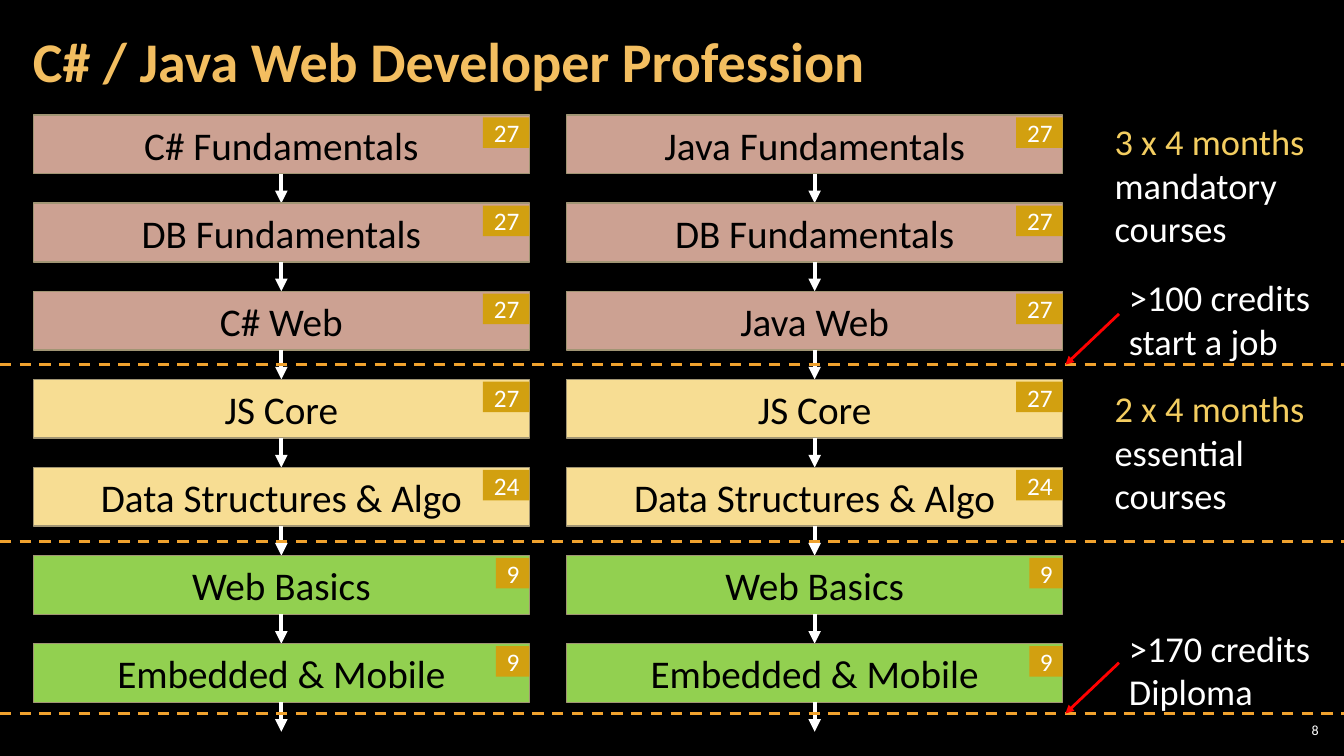
from lxml.etree import SubElement
from pptx import Presentation
from pptx.dml.color import RGBColor
from pptx.enum.dml import MSO_LINE
from pptx.enum.shapes import MSO_CONNECTOR, MSO_SHAPE
from pptx.enum.text import MSO_ANCHOR, PP_ALIGN
from pptx.oxml.ns import qn
from pptx.util import Cm, Pt

TITLE = "C# / Java Web Developer Profession"
PAGE = "8"
TRACKS = [
    (0.84, ["C# Fundamentals", "DB Fundamentals", "C# Web", "JS Core",
            "Data Structures & Algo", "Web Basics", "Embedded & Mobile"]),
    (14.28, ["Java Fundamentals", "DB Fundamentals", "Java Web", "JS Core",
             "Data Structures & Algo", "Web Basics", "Embedded & Mobile"]),
]
STAGES = ["mandatory"] * 3 + ["essential"] * 2 + ["elective"] * 2
CREDITS = [27, 27, 27, 27, 24, 9, 9]
DURATIONS = [
    (2.87, ["3 x 4 months", "mandatory", "courses"]),
    (9.6, ["2 x 4 months", "essential", "courses"]),
]
GOALS = [
    (6.8, 9.19, [">100 credits", "start a job"]),
    (15.64, 17.98, [">170 credits", "Diploma"]),
]
MILESTONES = [9.19, 13.64, 17.98]

COLORS = {
    "background": "000000", "title": "F3BE60", "white": "FFFFFF", "black": "000000",
    "mandatory": "CCA192", "essential": "F7DD93", "elective": "92D050",
    "border": "A19574", "badge": "D2A010", "milestone": "F0A22E",
    "duration": "F3CD60", "pointer": "FF0000",
}
FONT = "Calibri"
SLIDE_WIDTH, SLIDE_HEIGHT = 33.87, 19.05
COURSE_WIDTH, COURSE_HEIGHT = 12.5, 1.48
FIRST_TOP, ROW_PITCH = 2.9, 2.22
BADGE_HEIGHT = 0.77


def color(name):
    return RGBColor.from_string(COLORS[name])


def write(shape, lines, size, colors, bold=False, align=PP_ALIGN.LEFT,
          anchor=MSO_ANCHOR.TOP, margins=(0.25, 0.13), wrap=True,
          spacing=None, around=None):
    frame = shape.text_frame
    frame.word_wrap = wrap
    frame.vertical_anchor = anchor
    frame.margin_left = frame.margin_right = Cm(margins[0])
    frame.margin_top = frame.margin_bottom = Cm(margins[1])
    for index, line in enumerate(lines):
        paragraph = frame.paragraphs[0] if index == 0 else frame.add_paragraph()
        paragraph.alignment = align
        if spacing:
            paragraph.line_spacing = spacing
        if around:
            paragraph.space_before = paragraph.space_after = Pt(around)
        run = paragraph.add_run()
        run.text = line
        run.font.name = FONT
        run.font.size = Pt(size)
        run.font.bold = bold
        run.font.color.rgb = color(colors[min(index, len(colors) - 1)])


def text_box(left, top, width, height, lines, **format):
    box = slide.shapes.add_textbox(Cm(left), Cm(top), Cm(width), Cm(height))
    write(box, lines, **format)


def rectangle(left, top, width, height, fill, border=None):
    shape = slide.shapes.add_shape(
        MSO_SHAPE.RECTANGLE, Cm(left), Cm(top), Cm(width), Cm(height))
    shape.shadow.inherit = False
    shape.fill.solid()
    shape.fill.fore_color.rgb = color(fill)
    if border:
        shape.line.color.rgb = color(border)
        shape.line.width = Pt(1)
    else:
        shape.line.fill.background()
    return shape


def connect(start, end, stroke, width, dashed=False, arrow=False):
    connector = slide.shapes.add_connector(
        MSO_CONNECTOR.STRAIGHT, *(Cm(value) for value in start + end))
    connector.line.color.rgb = color(stroke)
    connector.line.width = Pt(width)
    if dashed:
        connector.line.dash_style = MSO_LINE.DASH
    if arrow:
        SubElement(connector.line._get_or_add_ln(), qn("a:tailEnd"), type="triangle")
    SubElement(connector._element.spPr, qn("a:effectLst"))


presentation = Presentation()
presentation.slide_width = Cm(SLIDE_WIDTH)
presentation.slide_height = Cm(SLIDE_HEIGHT)
slide = presentation.slides.add_slide(presentation.slide_layouts[6])
slide.background.fill.solid()
slide.background.fill.fore_color.rgb = color("background")

text_box(0.53, 0.1, 26.6, 3.07, [TITLE], size=40, colors=["title"], bold=True,
         anchor=MSO_ANCHOR.MIDDLE, margins=(0.3, 0.1), spacing=0.9)
text_box(32.13, 18.14, 1.2, 0.53, [PAGE], size=10, colors=["white"],
         align=PP_ALIGN.RIGHT, anchor=MSO_ANCHOR.MIDDLE, margins=(0.1, 0.1))

for left, courses in TRACKS:
    center = left + COURSE_WIDTH / 2
    for row, (course, stage, credits) in enumerate(zip(courses, STAGES, CREDITS)):
        top = FIRST_TOP + row * ROW_PITCH
        write(rectangle(left, top, COURSE_WIDTH, COURSE_HEIGHT, stage, "border"),
              [course], size=28, colors=["black"], align=PP_ALIGN.CENTER,
              anchor=MSO_ANCHOR.MIDDLE, margins=(0.25, 0), around=3)
        connect((center, top + COURSE_HEIGHT), (center, top + ROW_PITCH),
                "white", 3, arrow=True)
        badge_width = 1.17 if credits > 9 else 0.84
        write(rectangle(left + COURSE_WIDTH - badge_width, top + 0.06,
                        badge_width, BADGE_HEIGHT, "badge"),
              [str(credits)], size=18, colors=["white"], align=PP_ALIGN.RIGHT,
              anchor=MSO_ANCHOR.MIDDLE, margins=(0.25, 0), wrap=False)

for height in MILESTONES:
    connect((0, height), (SLIDE_WIDTH, height), "milestone", 2, dashed=True)

for top, lines in DURATIONS:
    text_box(27.84, top, 5.82, 3.12, lines, size=26, colors=["duration", "white"])

for top, milestone, lines in GOALS:
    text_box(28.2, top, 5.13, 2.16, lines, size=26, colors=["white"], wrap=False)
    connect((28.2, milestone - 1.28), (26.85, milestone), "pointer", 2, arrow=True)

presentation.save("out.pptx")
